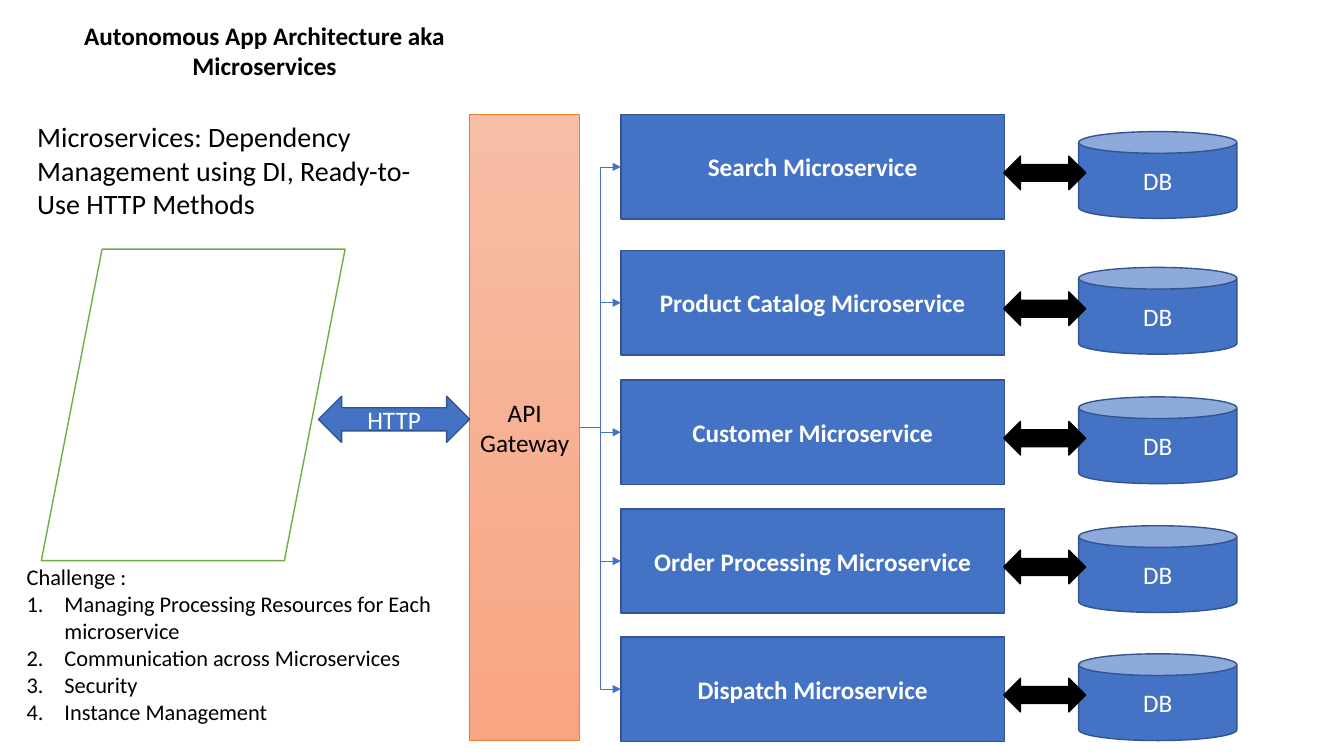
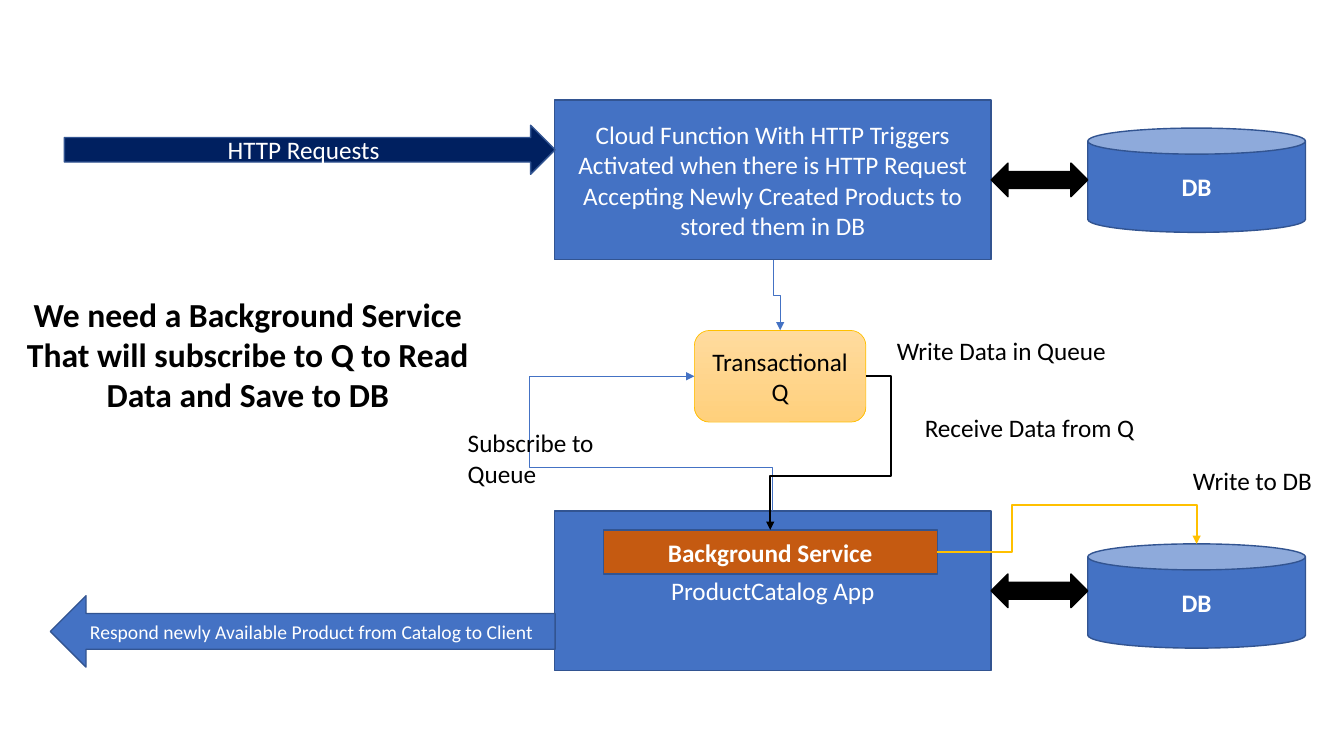
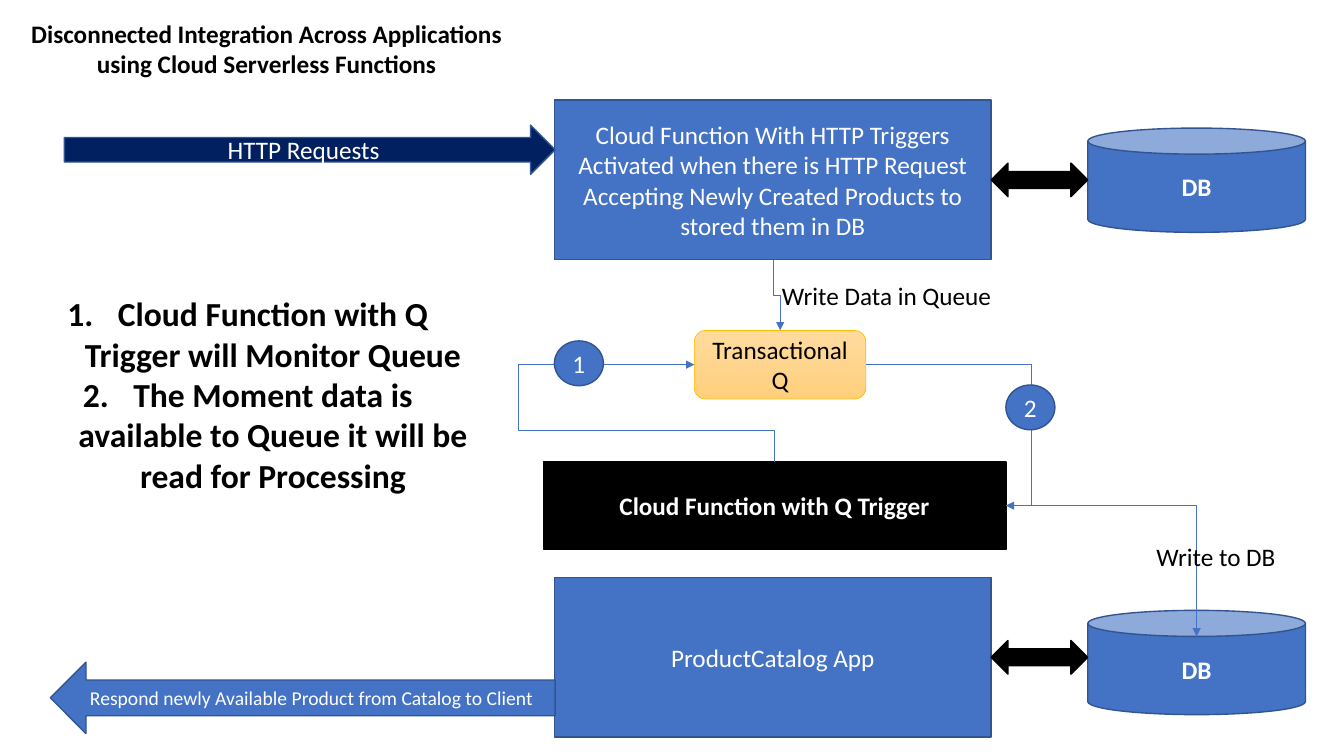
import pptx
import pptx.dml.color
import pptx.enum.shapes
import pptx.enum.text
import pptx.oxml.ns
import pptx.util
from lxml import etree

Pt = pptx.util.Pt
SHAPE = pptx.enum.shapes.MSO_SHAPE
ALIGN = pptx.enum.text.PP_ALIGN
ANCHOR = pptx.enum.text.MSO_ANCHOR
qn = pptx.oxml.ns.qn

# Shared style
FONT = "Calibri"
BLUE, EDGE, NAVY, RUST = "4472C4", "325491", "002060", "C55A11"
BLACK, WHITE, GREEN, ORANGE, GOLD = "000000", "FFFFFF", "70AD47", "ED7D31", "FFC000"
SALMON_FADE = ("F7BDA5", "F8A582")
GOLD_FADE = ("FFDB9E", "FFD07C")
PLAIN = {"size": Pt(18), "bold": False, "name": FONT}
BOLD = {**PLAIN, "bold": True}
SMALL = {**PLAIN, "size": Pt(14)}
LIST = {**PLAIN, "size": Pt(16)}
LEAD = {**PLAIN, "size": Pt(20)}
HEADLINE = {**BOLD, "size": Pt(24)}
PARAGRAPH = {"line_spacing": 1.0, "space_before": Pt(0), "space_after": Pt(0)}

# Connection sites: index, then position as a share of width and height
SITES = {"top": (0, 0.5, 0), "left": (1, 0, 0.5), "bottom": (2, 0.5, 1),
         "right": (3, 1, 0.5), "can top": (1, 0.5, 0), "can rim": (0, 0.5, 0.25)}

# Content
ARCHITECTURE_TITLE = "Autonomous App Architecture aka Microservices"
SUMMARY = "Microservices: Dependency Management using DI, Ready-to-Use HTTP Methods"
CHALLENGES = ["Managing Processing Resources for Each microservice",
              "Communication across Microservices", "Security", "Instance Management"]
SERVICES = [("Search Microservice", 82), ("Product Catalog Microservice", 179),
            ("Customer Microservice", 271.5), ("Order Processing Microservice", 363.5),
            ("Dispatch Microservice", 455)]
BACKGROUND_TITLE = ("We need a Background Service That will subscribe to Q "
                    "to Read Data and Save to DB")
SERVERLESS_TITLE = ("Disconnected Integration Across Applications "
                    "using Cloud Serverless Functions")
TRIGGER = ["Cloud Function With HTTP Triggers", "Activated when there is HTTP Request",
           "Accepting Newly Created Products to stored them in DB"]
RESPONSE = "Respond newly Available Product from Catalog to Client"
MONITOR_STEPS = ["Cloud Function with Q Trigger will Monitor Queue",
                 "The Moment data is available to Queue it will be read for Processing"]
BACKGROUND_LABELS = [("Write Data in Queue", (633.5, 236, 225, 29)),
                     ("Subscribe to Queue", (327, 302, 146, 51)),
                     ("Receive Data from Q", (653.5, 291, 211, 29)),
                     ("Write to DB", (845, 329, 102, 29))]
SERVERLESS_LABELS = [("Write Data in Queue", (551.5, 196.5, 225, 29)),
                     ("Write to DB", (819, 383, 102, 29))]
STEP_MARKS = [("1", (396, 243.5, 35, 32)), ("2", (718.5, 275, 35, 32))]


def rgb(value):
    return pptx.dml.color.RGBColor.from_string(value)


def apply(target, values):
    for name, value in values.items():
        setattr(target, name, value)


def place(item, area):
    apply(item, dict(zip(("left", "top", "width", "height"), map(Pt, area))))


def write(box, lines, style, colour=BLACK, align=ALIGN.LEFT, anchor=ANCHOR.TOP,
          numbered_from=None, indent=0):
    frame = box.text_frame
    apply(frame, {"word_wrap": True, "vertical_anchor": anchor,
                  "auto_size": pptx.enum.text.MSO_AUTO_SIZE.NONE})
    for index, line in enumerate(lines):
        para = frame.paragraphs[0] if index == 0 else frame.add_paragraph()
        apply(para, {**PARAGRAPH, "alignment": align})
        span = para.add_run()
        span.text = line
        apply(span.font, style)
        span.font.color.rgb = rgb(colour)
        if numbered_from is not None and index >= numbered_from:
            settings = para._p.get_or_add_pPr()
            settings.set("marL", str(Pt(indent)))
            settings.set("indent", str(-Pt(indent)))
            etree.SubElement(settings, qn("a:buFont"), typeface="+mj-lt")
            etree.SubElement(settings, qn("a:buAutoNum"), type="arabicPeriod")


def add_title(page, title, area, style=BOLD):
    place(page.shapes.title, area)
    write(page.shapes.title, [title], style, align=ALIGN.CENTER)


def add_text(page, area, lines, style=PLAIN, **options):
    write(page.shapes.add_textbox(*map(Pt, area)), lines, style, **options)


def add_box(page, kind, area, lines=(), style=PLAIN, fill=BLUE, edge=EDGE, weight=1,
            colour=WHITE):
    box = page.shapes.add_shape(kind, *map(Pt, area))
    box.shadow.inherit = False
    if isinstance(fill, tuple):
        box.fill.gradient()
        box.fill.gradient_angle = 270
        for stop, shade in zip(box.fill.gradient_stops, fill):
            stop.color.rgb = rgb(shade)
    else:
        box.fill.solid()
        box.fill.fore_color.rgb = rgb(fill)
    box.line.color.rgb = rgb(edge)
    box.line.width = Pt(weight)
    write(box, lines, style, colour, ALIGN.CENTER, ANCHOR.MIDDLE)
    return box


def add_exchange(page, area):
    add_box(page, SHAPE.LEFT_RIGHT_ARROW, area, fill=BLACK, edge=BLACK)


def site_point(box, site):
    _, across, down = SITES[site]
    return box.left + box.width * across, box.top + box.height * down


def add_elbow(page, source, source_site, target, target_site, turns=None,
              colour=BLUE, weight=0.5):
    """Turns are the bend coordinates in order; None bends halfway."""
    start, end = site_point(source, source_site), site_point(target, target_site)
    wire = page.shapes.add_connector(pptx.enum.shapes.MSO_CONNECTOR.ELBOW, 0, 0, 0, 0)
    wire.begin_connect(source, SITES[source_site][0])
    wire.end_connect(target, SITES[target_site][0])

    # Frame: a wire that leaves vertically is a horizontal one turned by 270 degrees
    vertical = source_site in ("top", "bottom")
    run, rise = end[0] - start[0], end[1] - start[1]
    width, height = (abs(rise), abs(run)) if vertical else (abs(run), abs(rise))
    apply(wire, {"left": int((start[0] + end[0] - width) / 2),
                 "top": int((start[1] + end[1] - height) / 2),
                 "width": int(width), "height": int(height)})
    flip_h, flip_v = (rise > 0, run < 0) if vertical else (run < 0, rise < 0)
    properties = wire.element.spPr
    transform = properties.find(qn("a:xfrm"))
    for name, value in (("rot", 16200000 if vertical else 0),
                        ("flipH", int(flip_h)), ("flipV", int(flip_v))):
        transform.set(name, str(value))

    # Bends
    geometry = properties.find(qn("a:prstGeom"))
    geometry.set("prst", f"bentConnector{3 if turns is None else len(turns) + 2}")
    guides = geometry.find(qn("a:avLst"))
    if guides is None:
        guides = etree.SubElement(geometry, qn("a:avLst"))
    for index, turn in enumerate(turns or ()):
        axis = (index + vertical) % 2
        share = (Pt(turn) - start[axis]) / (end[axis] - start[axis])
        etree.SubElement(guides, qn("a:gd"), name=f"adj{index + 1}",
                         fmla=f"val {round(share * 100000)}")

    # Line and arrowhead
    wire.line.color.rgb = rgb(colour)
    wire.line.width = Pt(weight)
    etree.SubElement(properties.find(qn("a:ln")), qn("a:tailEnd"), type="triangle")
    etree.SubElement(properties, qn("a:effectLst"))


def add_flow(page, catalog_top, queue_height):
    """Draw the request row, the queue and the catalog row."""
    trigger = add_box(page, SHAPE.RECTANGLE, (396, 71.5, 312, 114), TRIGGER)
    add_box(page, SHAPE.RIGHT_ARROW, (46, 89.5, 350.5, 35), ["HTTP Requests"], fill=NAVY)
    catalog = add_box(page, SHAPE.RECTANGLE, (396, catalog_top, 312, 114),
                      ["ProductCatalog App"])
    add_box(page, SHAPE.LEFT_ARROW, (36, catalog_top + 60.5, 360.5, 51), [RESPONSE], SMALL)
    for can_top, row_top in ((91.5, 71.5), (catalog_top + 23.5, catalog_top)):
        store = add_box(page, SHAPE.CAN, (777, can_top, 155.5, 74.5), ["DB"], BOLD)
        add_exchange(page, (708, row_top + 45, 69, 24))
    queue = add_box(page, SHAPE.ROUNDED_RECTANGLE, (496, 236, 122.5, queue_height),
                    ["Transactional Q"], fill=GOLD_FADE, edge=GOLD, weight=0.5,
                    colour=BLACK)
    add_elbow(page, trigger, "bottom", queue, "top")
    return queue, catalog, store


deck = pptx.Presentation()
deck.slide_width, deck.slide_height = Pt(960), Pt(540)
title_only = deck.slide_layouts[5]

# Slide 1: microservice architecture
page = deck.slides.add_slide(title_only)
add_title(page, ARCHITECTURE_TITLE, (12, 11, 354, 51))
add_box(page, SHAPE.FLOWCHART_DATA, (29.5, 178, 217, 222.5), fill=WHITE, edge=GREEN)
gateway = add_box(page, SHAPE.RECTANGLE, (335.5, 82, 78.5, 447), ["API", "Gateway"],
                  fill=SALMON_FADE, edge=ORANGE, weight=0.5, colour=BLACK)
add_box(page, SHAPE.LEFT_RIGHT_ARROW, (227.5, 283, 108, 33), ["HTTP"])
for name, top in SERVICES:
    service = add_box(page, SHAPE.RECTANGLE, (443.5, top, 274, 74.5), [name], BOLD)
    add_box(page, SHAPE.CAN, (770.5, top + 12, 113, 62), ["DB"])
    add_exchange(page, (717, top + 29.5, 58.5, 24))
    add_elbow(page, gateway, "right", service, "left")
add_text(page, (12, 399, 307.5, 124), ["Challenge :"] + CHALLENGES, LIST,
         numbered_from=1, indent=27)
add_text(page, (19.5, 82, 294, 80), [SUMMARY], LEAD)

# Slide 2: background service
page = deck.slides.add_slide(title_only)
add_title(page, BACKGROUND_TITLE, (8, 206, 338, 94), HEADLINE)
queue, catalog, store = add_flow(page, 365, 65.5)
background = add_box(page, SHAPE.RECTANGLE, (431, 378.5, 238.5, 31.5),
                     ["Background Service"], BOLD, fill=RUST)
add_elbow(page, catalog, "top", queue, "left", (333.5, 378))
add_elbow(page, queue, "right", background, "top", (636.5, 340), BLACK, 1.5)
add_elbow(page, background, "right", store, "can top", (723, 361), GOLD, 1.5)
for label, area in BACKGROUND_LABELS:
    add_text(page, area, [label])

# Slide 3: serverless integration
page = deck.slides.add_slide(title_only)
add_title(page, SERVERLESS_TITLE, (8, 9.5, 365, 51))
queue, catalog, store = add_flow(page, 412.5, 49)
function = add_box(page, SHAPE.RECTANGLE, (388, 330, 330.5, 62.5),
                   ["Cloud Function with Q Trigger"], BOLD, fill=BLACK, edge=BLACK)
add_elbow(page, function, "top", queue, "left", (307.5, 370))
add_elbow(page, queue, "right", function, "right", (736.5,))
add_elbow(page, function, "right", store, "can rim", ())
for mark, area in STEP_MARKS:
    add_box(page, SHAPE.OVAL, area, [mark])
for label, area in SERVERLESS_LABELS:
    add_text(page, area, [label])
add_text(page, (8, 206, 338, 181.5), MONITOR_STEPS, HEADLINE, align=ALIGN.CENTER,
         numbered_from=0, indent=36)

deck.save("out.pptx")
